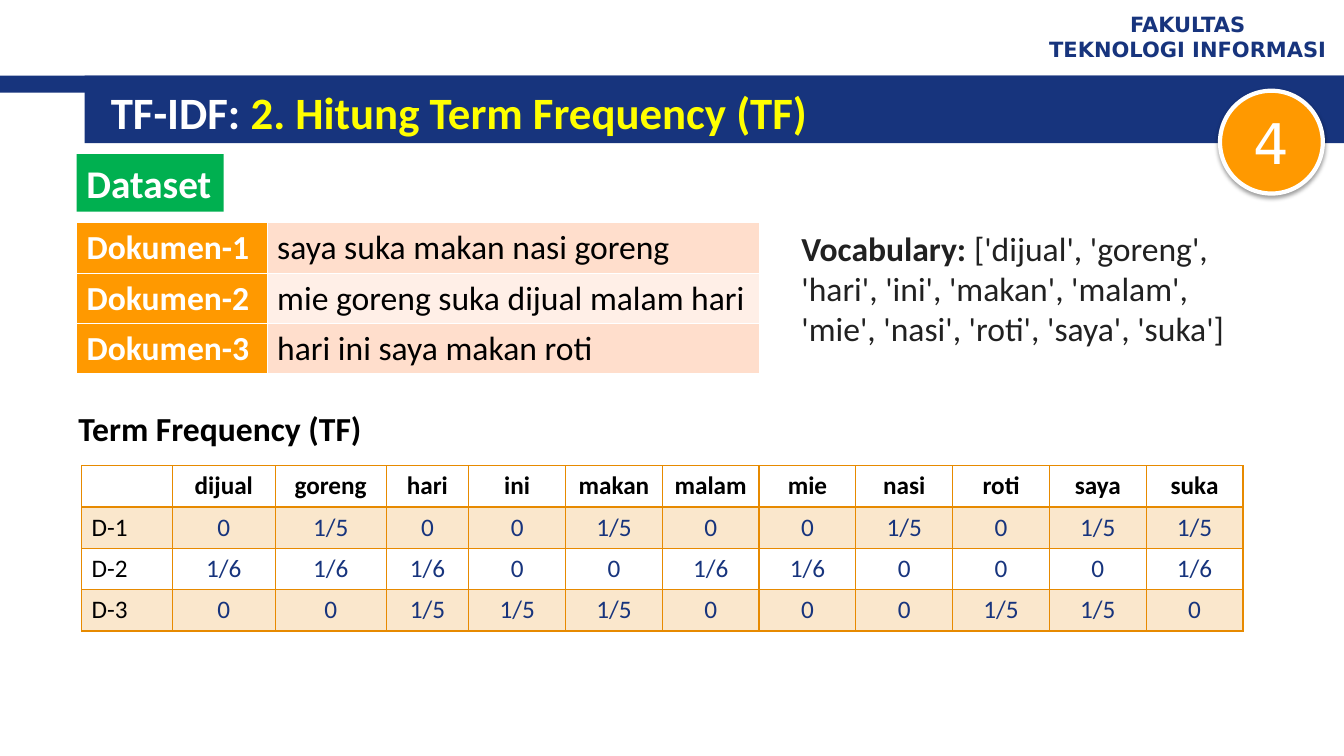
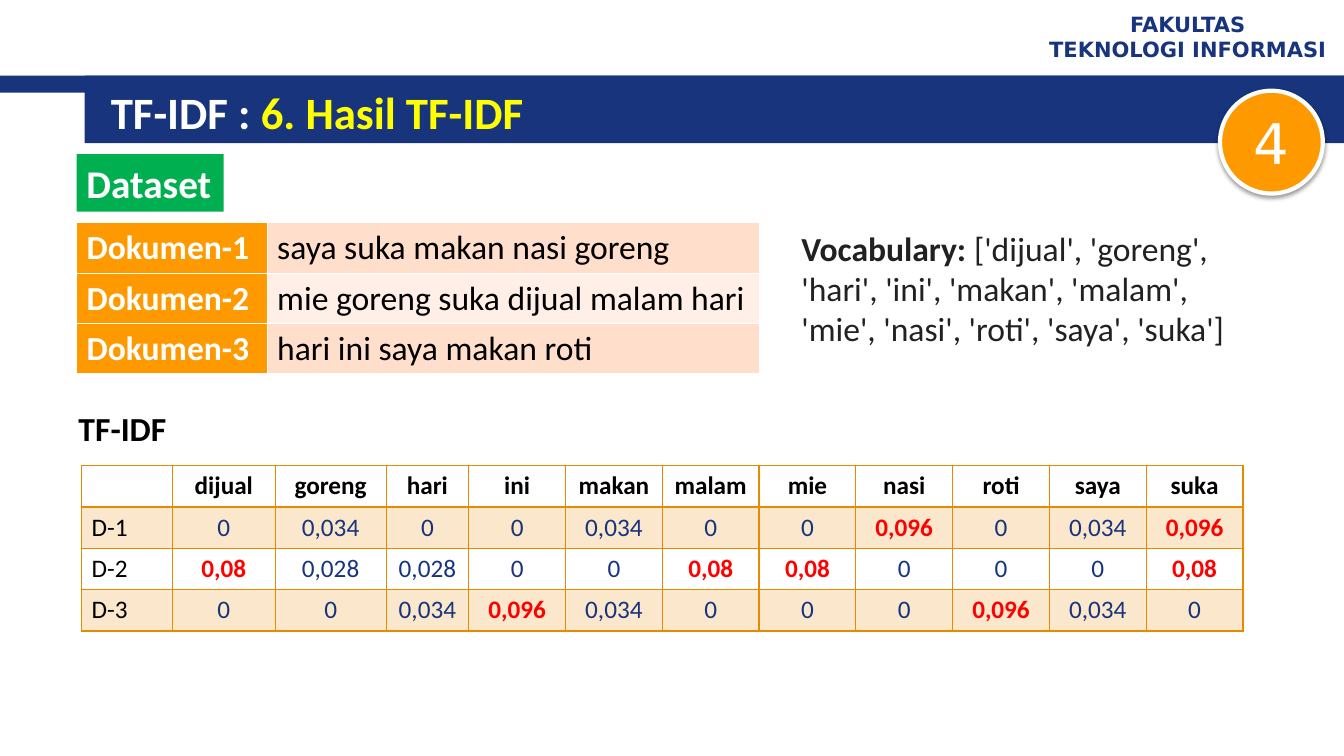
from dataclasses import dataclass
from typing import NamedTuple, Optional

from lxml import etree
from pptx import Presentation
from pptx.dml.color import RGBColor
from pptx.enum.shapes import MSO_SHAPE
from pptx.enum.text import MSO_ANCHOR, PP_ALIGN
from pptx.oxml.ns import qn
from pptx.util import Emu, Pt

EMU_PER_PX = 9144  # 100 px to the inch


@dataclass(frozen=True)
class Theme:
    body_font: str = "Calibri"
    display_font: str = "DejaVu Sans"
    navy: str = "17347D"
    white: str = "FFFFFF"
    black: str = "000000"
    ink: str = "212121"
    yellow: str = "FFFF00"
    red: str = "FF0000"
    green: str = "00B050"
    orange: str = "FF9900"
    amber: str = "E78A00"
    peach: str = "FFDECC"
    pale_peach: str = "FFEFE7"
    faculty_size: int = 15
    cell_size: int = 18
    body_size: int = 24
    label_size: int = 28
    title_size: int = 32
    badge_size: int = 40


THEME = Theme()


class Box(NamedTuple):
    left: int
    top: int
    width: int
    height: int

    def emu(self) -> list[Emu]:
        return [Emu(length * EMU_PER_PX) for length in self]


class TextStyle(NamedTuple):
    size: int
    color: str
    bold: bool = False
    align: PP_ALIGN = PP_ALIGN.LEFT
    font: str = THEME.body_font


class CellLook(NamedTuple):
    text: TextStyle
    border: str
    fill: Optional[str] = None
    opacity: int = 100
    bottom_width: int = 1


@dataclass(frozen=True)
class WeightSlide:
    step: str
    topic: str
    heading: str
    heading_width: int
    weights: list[list[str]]
    highlights: frozenset[str] = frozenset()


DOCUMENTS = [
    "saya suka makan nasi goreng",
    "mie goreng suka dijual malam hari",
    "hari ini saya makan roti",
]
TERMS = ["dijual", "goreng", "hari", "ini", "makan", "malam",
         "mie", "nasi", "roti", "saya", "suka"]
TERM_COLUMNS = [90, 102, 110, 82] + [96] * 8

SLIDES = [
    WeightSlide(
        "TF-IDF: ", "2. Hitung Term Frequency (TF)", "Term Frequency (TF)", 304,
        [
            ["0", "1/5", "0", "0", "1/5", "0", "0", "1/5", "0", "1/5", "1/5"],
            ["1/6", "1/6", "1/6", "0", "0", "1/6", "1/6", "0", "0", "0", "1/6"],
            ["0", "0", "1/5", "1/5", "1/5", "0", "0", "0", "1/5", "1/5", "0"],
        ],
    ),
    WeightSlide(
        "TF-IDF : ", "6. Hasil TF-IDF", "TF-IDF", 108,
        [
            ["0", "0,034", "0", "0", "0,034", "0", "0", "0,096", "0", "0,034", "0,096"],
            ["0,08", "0,028", "0,028", "0", "0", "0,08", "0,08", "0", "0", "0", "0,08"],
            ["0", "0", "0,034", "0,096", "0,034", "0", "0", "0", "0,096", "0,034", "0"],
        ],
        frozenset({"0,08", "0,096"}),
    ),
]


def rgb(color: str) -> RGBColor:
    return RGBColor.from_string(color)


def style_paragraph(paragraph, style: TextStyle) -> None:
    paragraph.alignment = style.align
    paragraph.font.name = style.font
    paragraph.font.size = Pt(style.size)
    paragraph.font.bold = style.bold
    paragraph.font.color.rgb = rgb(style.color)


def write(frame, text: str, style: TextStyle) -> None:
    frame.text = text
    for paragraph in frame.paragraphs:
        style_paragraph(paragraph, style)


def add_text_frame(slide, box: Box, wrap: bool = True, anchor=MSO_ANCHOR.TOP):
    frame = slide.shapes.add_textbox(*box.emu()).text_frame
    frame.word_wrap = wrap
    frame.vertical_anchor = anchor
    return frame


def add_filled(slide, kind: MSO_SHAPE, box: Box, color: str):
    shape = slide.shapes.add_shape(kind, *box.emu())
    shape.shadow.inherit = False
    shape.fill.solid()
    shape.fill.fore_color.rgb = rgb(color)
    shape.line.fill.background()
    return shape


def add_drop_shadow(shape) -> None:
    effects = shape._element.spPr.find(qn("a:effectLst"))
    shadow = etree.SubElement(effects, qn("a:outerShdw"), blurRad="40000",
                              dist="20000", dir="5400000", rotWithShape="0")
    color = etree.SubElement(shadow, qn("a:srgbClr"), val=THEME.black)
    etree.SubElement(color, qn("a:alpha"), val="38000")


def draw_borders(cell, color: str, bottom_width: int) -> None:
    properties = cell._tc.get_or_add_tcPr()
    for side, width in {"L": 1, "R": 1, "T": 1, "B": bottom_width}.items():
        line = etree.SubElement(properties, qn(f"a:ln{side}"), w=str(Pt(width)))
        fill = etree.SubElement(line, qn("a:solidFill"))
        etree.SubElement(fill, qn("a:srgbClr"), val=color)


def fill_cell(cell, text: str, look: CellLook) -> None:
    write(cell.text_frame, text, look.text)
    draw_borders(cell, look.border, look.bottom_width)
    if look.fill is None:
        cell.fill.background()
        return
    cell.fill.solid()
    cell.fill.fore_color.rgb = rgb(look.fill)
    if look.opacity < 100:
        color = cell._tc.tcPr.find(f"{qn('a:solidFill')}/{qn('a:srgbClr')}")
        etree.SubElement(color, qn("a:alpha"), val=str(look.opacity * 1000))


def add_grid(slide, left: int, top: int, columns: list[int], row_height: int,
             row_count: int):
    """Add a table without any automatic header or banding style."""
    box = Box(left, top, sum(columns), row_height * row_count)
    table = slide.shapes.add_table(row_count, len(columns), *box.emu()).table
    table.first_row = table.horz_banding = False
    for column, width in zip(table.columns, columns):
        column.width = Emu(width * EMU_PER_PX)
    for row in table.rows:
        row.height = Emu(row_height * EMU_PER_PX)
    return table


def add_header(slide, content: WeightSlide) -> None:
    for band in (Box(0, 75, 1333, 17), Box(84, 75, 1249, 67)):
        add_filled(slide, MSO_SHAPE.RECTANGLE, band, THEME.navy)
    faculty = add_text_frame(slide, Box(1023, 5, 310, 62), anchor=MSO_ANCHOR.MIDDLE)
    write(faculty, "FAKULTAS\nTEKNOLOGI INFORMASI",
          TextStyle(THEME.faculty_size, THEME.navy, True, PP_ALIGN.CENTER,
                    THEME.display_font))
    title = add_text_frame(slide, Box(100, 80, 1189, 62), anchor=MSO_ANCHOR.MIDDLE)
    write(title, content.step, TextStyle(THEME.title_size, THEME.white, True))
    topic = title.paragraphs[0].add_run()
    topic.text = content.topic
    topic.font.color.rgb = rgb(THEME.yellow)


def add_badge(slide, number: str) -> None:
    badge = add_filled(slide, MSO_SHAPE.OVAL, Box(1210, 90, 102, 102), THEME.orange)
    badge.line.color.rgb = rgb(THEME.white)
    badge.line.width = Pt(3)
    add_drop_shadow(badge)
    badge.text_frame.vertical_anchor = MSO_ANCHOR.MIDDLE
    write(badge.text_frame, number,
          TextStyle(THEME.badge_size, THEME.white, False, PP_ALIGN.CENTER,
                    THEME.display_font))


def add_dataset(slide) -> None:
    documents = add_grid(slide, 76, 221, [189, 488], 50, len(DOCUMENTS))
    label = CellLook(TextStyle(THEME.body_size, THEME.white, True),
                     THEME.white, THEME.orange)
    for row, sentence in enumerate(DOCUMENTS):
        band = THEME.pale_peach if row % 2 else THEME.peach
        fill_cell(documents.cell(row, 0), f"Dokumen-{row + 1}", label)
        fill_cell(documents.cell(row, 1), sentence,
                  CellLook(TextStyle(THEME.body_size, THEME.black), THEME.white, band))

    tag = add_filled(slide, MSO_SHAPE.RECTANGLE, Box(76, 153, 146, 57), THEME.green)
    tag.text_frame.word_wrap = False
    tag.text_frame.vertical_anchor = MSO_ANCHOR.TOP
    write(tag.text_frame, "Dataset", TextStyle(THEME.label_size, THEME.white, True))

    vocabulary = add_text_frame(slide, Box(785, 221, 457, 131))
    write(vocabulary, "Vocabulary:", TextStyle(THEME.body_size, THEME.ink, True))
    terms = vocabulary.paragraphs[0].add_run()
    terms.text = f" {TERMS}"
    terms.font.bold = False


def add_weights(slide, content: WeightSlide) -> None:
    heading = add_text_frame(slide, Box(68, 400, content.heading_width, 50), wrap=False)
    write(heading, content.heading, TextStyle(THEME.body_size, THEME.black, True))

    table = add_grid(slide, 81, 462, TERM_COLUMNS, 41, len(content.weights) + 1)
    size, center = THEME.cell_size, PP_ALIGN.CENTER
    header = CellLook(TextStyle(size, THEME.black, True, center), THEME.amber,
                      bottom_width=2)
    for column, term in enumerate(["", *TERMS]):
        fill_cell(table.cell(0, column), term, header)

    row_label = TextStyle(size, THEME.black)
    plain = TextStyle(size, THEME.navy, False, center)
    highlighted = TextStyle(size, THEME.red, True, center)
    for row, weights in enumerate(content.weights, start=1):
        fill = THEME.amber if row % 2 else None
        fill_cell(table.cell(row, 0), f"D-{row}",
                  CellLook(row_label, THEME.amber, fill, 20))
        for column, weight in enumerate(weights, start=1):
            style = highlighted if weight in content.highlights else plain
            fill_cell(table.cell(row, column), weight,
                      CellLook(style, THEME.amber, fill, 20))


def main() -> None:
    deck = Presentation()
    deck.slide_width = Emu(1333 * EMU_PER_PX)
    deck.slide_height = Emu(750 * EMU_PER_PX)
    for content in SLIDES:
        slide = deck.slides.add_slide(deck.slide_layouts[6])
        add_header(slide, content)
        add_dataset(slide)
        add_weights(slide, content)
        add_badge(slide, "4")
    deck.save("out.pptx")


if __name__ == "__main__":
    main()
